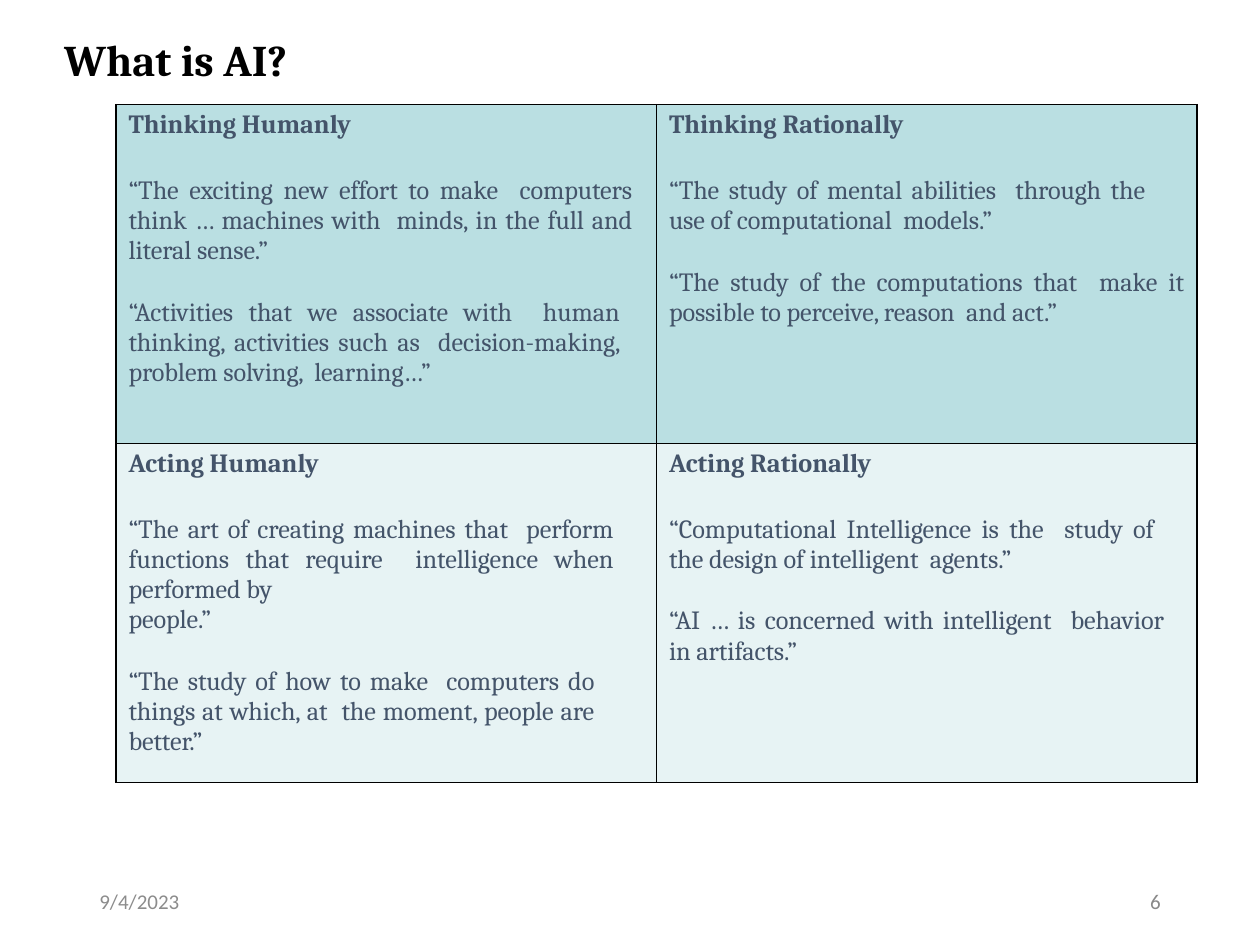
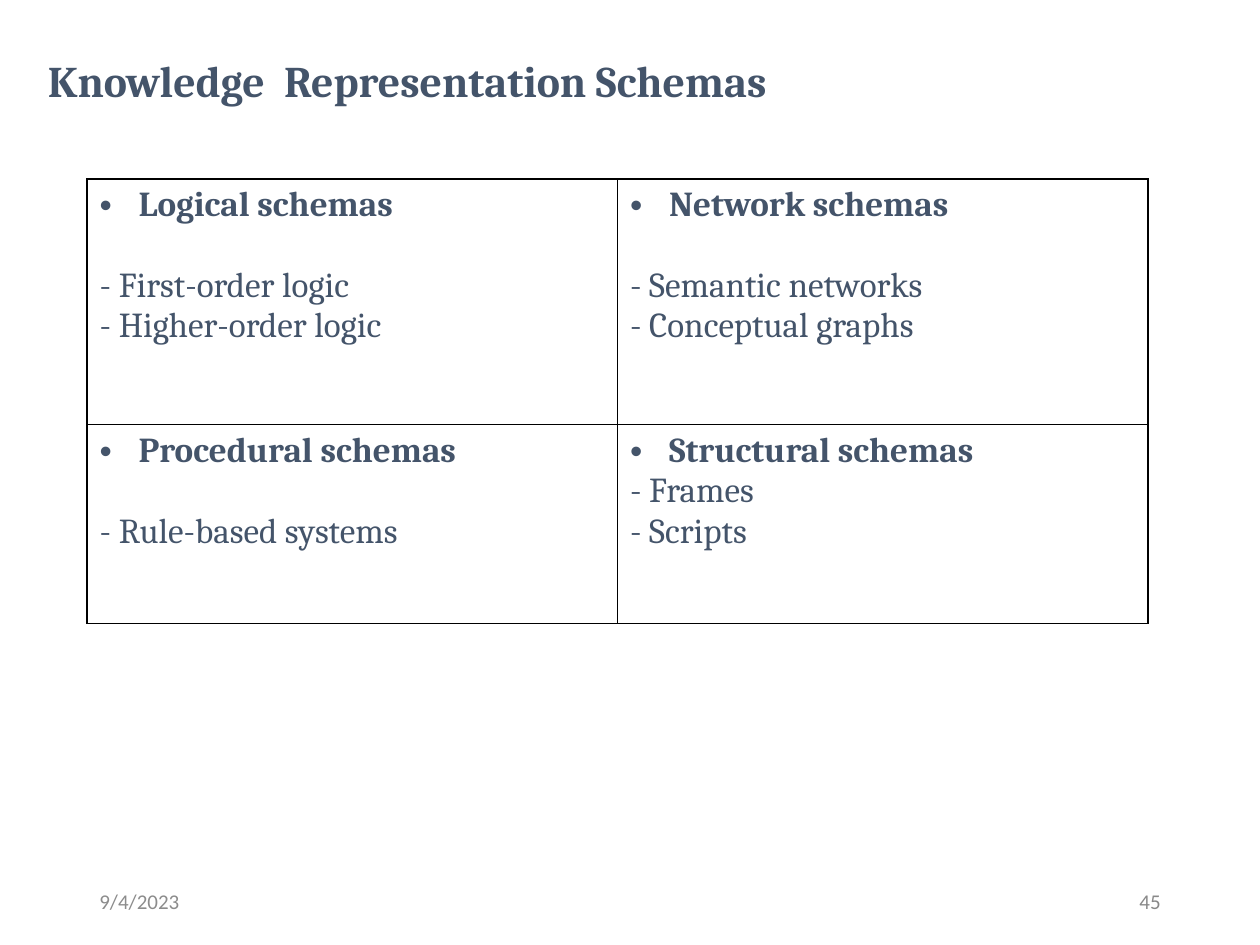
from lxml import etree
from pptx import Presentation
from pptx.dml.color import RGBColor
from pptx.enum.text import MSO_ANCHOR, MSO_AUTO_SIZE, PP_ALIGN
from pptx.oxml.ns import qn
from pptx.util import Pt

PX = 9144  # EMU in one px, 100 px to the inch
LEFT, RIGHT, JUSTIFY = PP_ALIGN.LEFT, PP_ALIGN.RIGHT, PP_ALIGN.JUSTIFY
TOP, MIDDLE = MSO_ANCHOR.TOP, MSO_ANCHOR.MIDDLE
NO_AUTOFIT = MSO_AUTO_SIZE.NONE
TITLE_ONLY = 5

COLORS = {"black": "000000", "slate": "44546A", "date": "8C8C8C",
          "number": "898989", "teal": "BADFE2", "pale": "E7F3F4"}
SERIF, SANS = "Cambria", "Calibri"


class Deck:
    """Holds the shared style and the current slide."""

    def __init__(self, width, height):
        self.prs = Presentation()
        self.prs.slide_width, self.prs.slide_height = width * PX, height * PX
        self.slide = None

    def new_slide(self, number):
        layout = self.prs.slide_layouts[TITLE_ONLY]
        self.slide = self.prs.slides.add_slide(layout)
        self.footer(69, "9/4/2023", LEFT, "date")
        self.footer(706, number, RIGHT, "number")

    def run(self, p, text, size, color, font=SERIF, bold=False):
        r = p.add_run()
        r.text = text
        r.font.size, r.font.name, r.font.bold = Pt(size), font, bold
        r.font.color.rgb = RGBColor.from_string(COLORS[color])
        return r

    def paragraph(self, tf, first, align=LEFT, before=0, left=0, right=0, indent=0):
        p = tf.paragraphs[0] if first else tf.add_paragraph()
        p.alignment, p.space_before = align, Pt(before)
        pPr = p._p.get_or_add_pPr()
        for name, px in (("marL", left), ("marR", right), ("indent", indent)):
            pPr.set(name, str(px * PX))
        return p

    def title(self, text, x, y, w, h, color, left):
        sp = self.slide.shapes.title
        sp.left, sp.top, sp.width, sp.height = (v * PX for v in (x, y, w, h))
        tf = sp.text_frame
        tf.word_wrap, tf.auto_size, tf.vertical_anchor = True, NO_AUTOFIT, TOP
        tf.margin_left = tf.margin_right = tf.margin_bottom = 0
        tf.margin_top = PX
        p = self.paragraph(tf, True, before=1, left=left)
        self.run(p, text, 25, color, bold=True)

    def footer(self, x, text, align, color):
        sp = self.slide.shapes.add_textbox(x * PX, 695 * PX, 225 * PX, 40 * PX)
        tf = sp.text_frame
        tf.word_wrap, tf.vertical_anchor = True, MIDDLE
        self.run(self.paragraph(tf, True, align), text, 12, color, SANS)

    def table(self, x, y, col_width, row_heights, fills, cells, write_cell):
        cols = len(cells[0])
        frame = self.slide.shapes.add_table(
            len(cells), cols, x * PX, y * PX,
            cols * col_width * PX, sum(row_heights) * PX)
        table = frame.table
        table.first_row = table.horz_banding = False
        for col in table.columns:
            col.width = col_width * PX
        for row, height, fill, contents in zip(table.rows, row_heights, fills, cells):
            row.height = height * PX
            for cell, content in zip(row.cells, contents):
                self.borders(cell)
                if fill:
                    cell.fill.solid()
                    cell.fill.fore_color.rgb = RGBColor.from_string(COLORS[fill])
                else:
                    cell.fill.background()
                write_cell(cell, *content)

    def borders(self, cell):
        tcPr = cell._tc.get_or_add_tcPr()
        for side in ("lnL", "lnR", "lnT", "lnB"):
            ln = etree.SubElement(tcPr, qn("a:" + side), w=str(Pt(1)))
            fill = etree.SubElement(ln, qn("a:solidFill"))
            etree.SubElement(fill, qn("a:srgbClr"), val=COLORS["black"])

    def quote_cell(self, cell, heading, quotes):
        """Heading and justified quotes: (space before, right indent, text)."""
        cell.margin_left = cell.margin_right = cell.margin_bottom = 0
        cell.margin_top = 4 * PX
        tf = cell.text_frame
        p = self.paragraph(tf, True, before=3, left=10)
        self.run(p, heading, 15, "slate", bold=True)
        for before, right, text in quotes:
            p = self.paragraph(tf, False, JUSTIFY, before, 10, right)
            r = self.run(p, text, 15, "slate")
            r.font._element.set("spc", "-5")

    def schema_cell(self, cell, heading, gap, items):
        """Bulleted heading, a gap, then dashed items."""
        tf = cell.text_frame
        p = self.paragraph(tf, True, left=31, indent=-31)
        pPr = p._p.get_or_add_pPr()
        etree.SubElement(pPr, qn("a:buFont"), typeface="Arial")
        etree.SubElement(pPr, qn("a:buChar"), char="•")
        self.run(p, heading, 20, "slate", bold=True)
        for i, item in enumerate(items):
            p = self.paragraph(tf, False, before=0 if i else gap)
            self.run(p, "- " + item, 20, "slate")


# Space before the first quote and before the next one, in points
FIRST, NEXT = 20.4, 17.9
SCHEMA_GAP = 23.2

DEFINITIONS = [
    [("Thinking Humanly", [
        (FIRST, 19, "“The exciting new effort to make  computers think … machines "
                    "with  minds, in the full and literal sense.”"),
        (NEXT, 29, "“Activities that we associate with  human thinking, activities "
                   "such as  decision-making, problem solving,  learning…”")]),
     ("Thinking Rationally", [
         (FIRST, 41, "“The study of mental abilities  through the use of "
                     "computational  models.”"),
         (NEXT, 10, "“The study of the computations that  make it possible to "
                    "perceive, reason  and act.”")])],
    [("Acting Humanly", [
        (FIRST, 34, "“The art of creating machines that  perform functions that "
                    "require  intelligence when performed by"),
        (0, 34, "people.”"),
        (NEXT, 49, "“The study of how to make  computers do things at which, at  "
                   "the moment, people are better.”")]),
     ("Acting Rationally", [
         (FIRST, 34, "“Computational Intelligence is the  study of the design of "
                     "intelligent  agents.”"),
         (NEXT, 26, "“AI … is concerned with intelligent  behavior in artifacts.”")])],
]

SCHEMAS = [
    [("Logical schemas", SCHEMA_GAP, ["First-order logic", "Higher-order logic"]),
     ("Network schemas", SCHEMA_GAP, ["Semantic networks", "Conceptual graphs"])],
    [("Procedural schemas", SCHEMA_GAP, ["Rule-based systems"]),
     ("Structural schemas", 0, ["Frames", "Scripts"])],
]


def main():
    deck = Deck(1000, 750)

    # Definitions of AI
    deck.new_slide("6")
    deck.title("What is AI?", 50, 25, 312, 44, "black", left=1)
    deck.table(92, 83, 429, [269, 269], ["teal", "pale"], DEFINITIONS, deck.quote_cell)

    # Knowledge representation schemas
    deck.new_slide("45")
    deck.title("Knowledge  Representation Schemas", 33, 42, 875, 43, "slate", left=5)
    deck.table(69, 142, 421, [195, 158], [None, None], SCHEMAS, deck.schema_cell)

    deck.prs.save("out.pptx")


if __name__ == "__main__":
    main()
